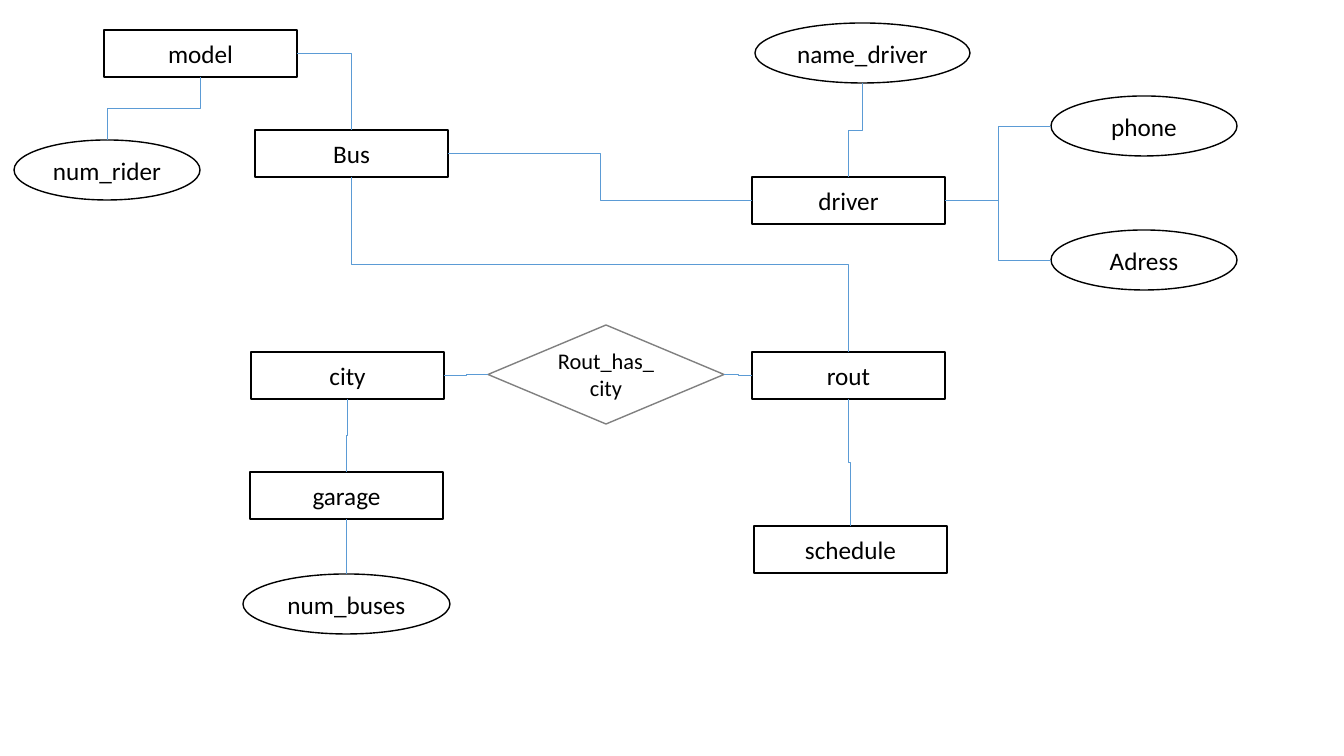
import pptx
import pptx.util
import pptx.dml.color
import pptx.enum.shapes
import pptx.enum.text
import pptx.oxml

SHAPES = pptx.enum.shapes.MSO_SHAPE
PX = 914400 / 100.8
SLIDE_SIZE = (1344, 756)
BLACK, GREY, BLUE = "000000", "808080", "5B9BD5"

KINDS = {
    "entity": {"preset": SHAPES.RECTANGLE, "line": BLACK, "size": 18,
               "sites": {"top": 0, "left": 1, "bottom": 2, "right": 3}},
    "attribute": {"preset": SHAPES.OVAL, "line": BLACK, "size": 18,
                  "sites": {"top": 0, "left": 2, "bottom": 4, "right": 6}},
    "relation": {"preset": SHAPES.DIAMOND, "line": GREY, "size": 16,
                 "sites": {"top": 0, "left": 1, "bottom": 2, "right": 3}},
}
ENTITY, ATTRIBUTE = (193, 47), (186, 60)

NODES = [
    ("driver", "entity", (752, 177), ENTITY),
    ("rout", "entity", (752, 352), ENTITY),
    ("garage", "entity", (250, 472), ENTITY),
    ("city", "entity", (251, 352), ENTITY),
    ("schedule", "entity", (754, 526), ENTITY),
    ("Bus", "entity", (255, 130), ENTITY),
    ("model", "entity", (104, 30), ENTITY),
    ("name_driver", "attribute", (755, 23), (215, 60)),
    ("phone", "attribute", (1051, 96), ATTRIBUTE),
    ("Adress", "attribute", (1051, 230), ATTRIBUTE),
    ("num_rider", "attribute", (14, 140), ATTRIBUTE),
    ("num_buses", "attribute", (243, 574), (207, 60)),
    ("Rout_has_city", "relation", (488, 325), (236, 99)),
]

LINKS = [
    ("name_driver", "bottom", "driver", "top"),
    ("driver", "right", "phone", "left"),
    ("driver", "right", "Adress", "left"),
    ("Bus", "right", "driver", "left"),
    ("Rout_has_city", "right", "rout", "left"),
    ("city", "right", "Rout_has_city", "left"),
    ("Bus", "bottom", "rout", "top"),
    ("rout", "bottom", "schedule", "top"),
    ("city", "bottom", "garage", "top"),
    ("garage", "bottom", "num_buses", "top"),
    ("model", "right", "Bus", "top"),
    ("model", "bottom", "num_rider", "top"),
]


def emu(length):
    return pptx.util.Emu(round(length * PX))


def colour(value):
    return pptx.dml.color.RGBColor.from_string(value)


def assign(target, values):
    for name, value in values.items():
        setattr(target, name, value)


def add_node(slide, text, kind, position, size):
    style = KINDS[kind]
    shape = slide.shapes.add_shape(style["preset"], *map(emu, position + size))
    shape.shadow.inherit = False
    shape.fill.background()
    shape.line.color.rgb = colour(style["line"])
    shape.line.width = pptx.util.Pt(1)
    frame = shape.text_frame
    assign(frame, {"word_wrap": True, "vertical_anchor": pptx.enum.text.MSO_ANCHOR.MIDDLE})
    paragraph = frame.paragraphs[0]
    assign(paragraph, {"text": text, "alignment": pptx.enum.text.PP_ALIGN.CENTER})
    assign(paragraph.font, {"name": "Calibri", "size": pptx.util.Pt(style["size"])})
    paragraph.font.color.rgb = colour(BLACK)
    return shape


def side_point(shape, side):
    across = {"left": 0, "right": 1}.get(side, 0.5)
    down = {"top": 0, "bottom": 1}.get(side, 0.5)
    return round(shape.left + across * shape.width), round(shape.top + down * shape.height)


def place(connector, start, end, vertical):
    (x1, y1), (x2, y2) = start, end
    width, height = abs(x2 - x1), abs(y2 - y1)
    transform = connector._element.spPr.find(pptx.oxml.ns.qn("a:xfrm"))
    for name in ("flipH", "flipV", "rot"):
        transform.attrib.pop(name, None)
    if vertical:
        width, height = height, width
        transform.set("rot", "16200000" if x2 > x1 else "5400000")
        if x2 > x1:
            transform.set("flipH", "1")
    elif y2 < y1:
        transform.set("flipV", "1")
    assign(connector, {"left": (x1 + x2 - width) // 2, "top": (y1 + y2 - height) // 2,
                       "width": width, "height": height})


def add_link(slide, first, first_side, second, second_side, sites):
    start, end = side_point(first, first_side), side_point(second, second_side)
    connector = slide.shapes.add_connector(pptx.enum.shapes.MSO_CONNECTOR.ELBOW, *start, *end)
    connector.begin_connect(first, 0)
    connector.end_connect(second, 0)
    for tag, site in zip(("a:stCxn", "a:endCxn"), sites):
        connector._element.xpath(".//" + tag)[0].set("idx", str(site))
    place(connector, start, end, first_side == "bottom")
    properties = connector._element.spPr
    if (first_side, second_side) == ("right", "top"):
        properties.find(pptx.oxml.ns.qn("a:prstGeom")).set("prst", "bentConnector2")
    connector.line.color.rgb = colour(BLUE)
    connector.line.width = pptx.util.Pt(0.5)
    properties.append(pptx.oxml.parse_xml(
        '<a:effectLst xmlns:a="http://schemas.openxmlformats.org/drawingml/2006/main"/>'))


def main():
    presentation = pptx.Presentation()
    assign(presentation, dict(zip(("slide_width", "slide_height"), map(emu, SLIDE_SIZE))))
    slide = presentation.slides.add_slide(presentation.slide_layouts[6])
    nodes = {node[0]: add_node(slide, *node) for node in NODES}
    kinds = {node[0]: KINDS[node[1]] for node in NODES}
    for first, first_side, second, second_side in LINKS:
        sites = (kinds[first]["sites"][first_side], kinds[second]["sites"][second_side])
        add_link(slide, nodes[first], first_side, nodes[second], second_side, sites)
    presentation.save("out.pptx")


if __name__ == "__main__":
    main()
